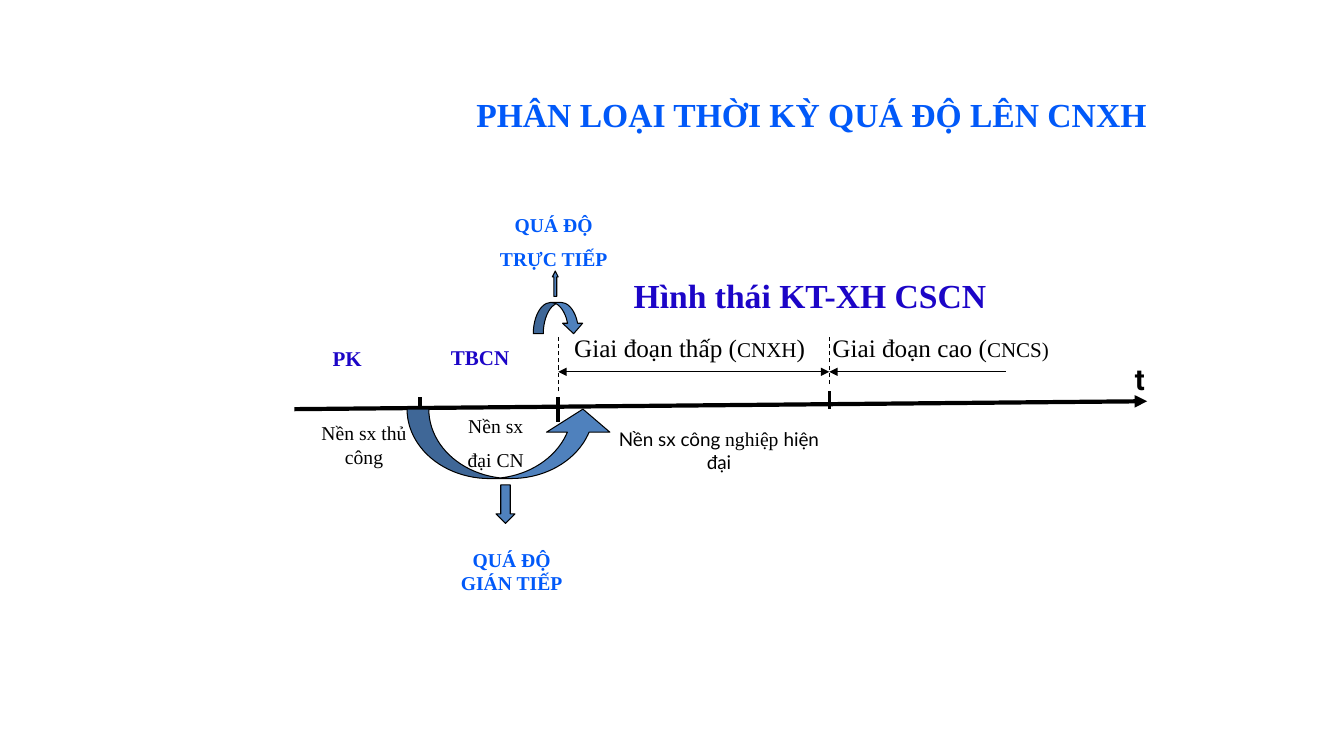
from lxml import etree
from pptx import Presentation
from pptx.dml.color import RGBColor
from pptx.enum.dml import MSO_LINE
from pptx.enum.shapes import MSO_CONNECTOR, MSO_SHAPE
from pptx.enum.text import MSO_ANCHOR, PP_ALIGN
from pptx.oxml.ns import qn
from pptx.util import Cm, Pt

BLUE = RGBColor(0x01, 0x59, 0xF9)
VIOLET = RGBColor(0x1C, 0x05, 0xC7)
BLACK = RGBColor(0x00, 0x00, 0x00)
ARROW_FILL = RGBColor(0x4F, 0x81, 0xBD)

STRAIGHT = MSO_CONNECTOR.STRAIGHT
DASH = MSO_LINE.DASH
CENTER = PP_ALIGN.CENTER
LEFT = PP_ALIGN.LEFT
TOP = MSO_ANCHOR.TOP
CURVED_DOWN = MSO_SHAPE.CURVED_DOWN_ARROW
CURVED_UP = MSO_SHAPE.CURVED_UP_ARROW
UP = MSO_SHAPE.UP_ARROW
DOWN = MSO_SHAPE.DOWN_ARROW

SERIF = "Times New Roman"
TITLE = {"name": SERIF, "size": Pt(24), "bold": True, "color": BLUE}
FORMATION = {**TITLE, "color": VIOLET}
SOCIETY = {**FORMATION, "size": Pt(15)}
TRANSITION = {**TITLE, "size": Pt(14)}
STAGE = {"name": SERIF, "size": Pt(18), "bold": False, "color": BLACK}
STAGE_SHORT = {**STAGE, "size": Pt(15)}
PRODUCTION = {**STAGE, "size": Pt(14)}
PRODUCTION_SANS = {**PRODUCTION, "name": "Lato", "size": Pt(13.5)}
TIME = {"name": "Roboto", "size": Pt(21), "bold": True, "color": BLACK}

AXIS_START, AXIS_END = (7.42, 10.31), (28.91, 10.11)
FEUDAL_END, LOW_START, HIGH_START = 10.59, 14.07, 20.9
SPAN_Y, DASH_TOP = 9.37, 8.41


def format_font(font, values):
    """Apply a dict of format values to a font."""
    for name, value in values.items():
        if name == "color":
            font.color.rgb = value
        else:
            setattr(font, name, value)


def fill_text(frame, paragraphs, alignment):
    """Write paragraphs, each a list of (text, format) runs."""
    frame.word_wrap = True
    frame.vertical_anchor = TOP
    for index, runs in enumerate(paragraphs):
        paragraph = frame.add_paragraph() if index else frame.paragraphs[0]
        paragraph.alignment = alignment
        if index:
            paragraph.space_before = Pt(7.5)
        for text, values in runs:
            run = paragraph.add_run()
            run.text = text
            format_font(run.font, values)


def add_title(slide, box, text):
    """Place and fill the title placeholder."""
    title = slide.shapes.title
    for name, value in zip(("left", "top", "width", "height"), box):
        setattr(title, name, Cm(value))
    fill_text(title.text_frame, [[(text, TITLE)]], CENTER)


def add_label(slide, box, paragraphs, alignment=CENTER):
    """Add a text box."""
    label = slide.shapes.add_textbox(*map(Cm, box))
    fill_text(label.text_frame, paragraphs, alignment)


def add_line(slide, start, end, width, dash=None, arrows=()):
    """Add a black line with optional dash and arrowheads."""
    connector = slide.shapes.add_connector(STRAIGHT, *map(Cm, (*start, *end)))
    connector.line.color.rgb = BLACK
    connector.line.width = Pt(width)
    if dash:
        connector.line.dash_style = dash
    properties = connector.line._get_or_add_ln()
    for arrow in arrows:
        etree.SubElement(properties, qn(f"a:{arrow}")).set("type", "triangle")
    etree.SubElement(connector._element.spPr, qn("a:effectLst"))


def add_arrow(slide, kind, box, adjustments):
    """Add a filled block arrow."""
    arrow = slide.shapes.add_shape(kind, *map(Cm, box))
    arrow.shadow.inherit = False
    arrow.fill.solid()
    arrow.fill.fore_color.rgb = ARROW_FILL
    arrow.line.color.rgb = BLACK
    arrow.line.width = Pt(0.75)
    for index, value in enumerate(adjustments):
        arrow.adjustments[index] = value


def add_timeline(slide):
    """Draw the time axis, its ticks and the stage spans."""
    add_line(slide, AXIS_START, AXIS_END, 3, arrows=["tailEnd"])
    for x in (FEUDAL_END, LOW_START):
        add_line(slide, (x, 10.01), (x, 10.64), 3)
    add_line(slide, (HIGH_START, 10.31), (HIGH_START, 9.86), 2.25)
    for x, bottom in ((LOW_START, 9.86), (HIGH_START, 9.68)):
        add_line(slide, (x, bottom), (x, DASH_TOP), 0.75, DASH)
    add_line(slide, (LOW_START, SPAN_Y), (HIGH_START, SPAN_Y), 0.75,
             arrows=["headEnd", "tailEnd"])
    add_line(slide, (HIGH_START, SPAN_Y), (25.35, SPAN_Y), 0.75,
             arrows=["headEnd"])


def add_arrows(slide):
    """Draw the direct and indirect transition arrows."""
    for kind, box, adjustments in (
        (CURVED_DOWN, (13.44, 7.62, 1.27, 0.79), (0.32, 0.64, 0.333)),
        (UP, (13.92, 6.83, 0.15, 0.64), (0.5, 1)),
        (CURVED_UP, (10.26, 10.31, 5.23, 1.75), (0.313, 0.913, 0.333)),
        (DOWN, (12.5, 12.22, 0.48, 0.97), (0.5, 0.5)),
    ):
        add_arrow(slide, kind, box, adjustments)


def add_labels(slide):
    """Write the labels around the timeline."""
    for box, paragraphs in (
        ((9.32, 8.56, 5.56, 0.89), [[("TBCN", SOCIETY)]]),
        ((6.45, 8.59, 4.6, 0.89), [[("PK", SOCIETY)]]),
        ((10.74, 5.23, 6.43, 1.75),
         [[("QUÁ ĐỘ", TRANSITION)], [("TRỰC TIẾP", TRANSITION)]]),
        ((11.23, 13.67, 3.33, 1.45), [[("QUÁ ĐỘ GIÁN TIẾP", TRANSITION)]]),
        ((10.74, 10.31, 3.51, 1.75),
         [[("Nền sx", PRODUCTION)], [("đại CN", PRODUCTION)]]),
        ((7.42, 10.49, 3.51, 1.45), [[("Nền sx thủ công", PRODUCTION)]]),
        ((15.34, 10.64, 5.56, 1.42),
         [[("Nền sx công ", PRODUCTION_SANS), ("nghiệp ", PRODUCTION),
           ("hiện đại", PRODUCTION_SANS)]]),
    ):
        add_label(slide, box, paragraphs)
    for box, runs in (
        ((15.72, 6.81, 11.13, 1.27), [("Hình thái KT-XH CSCN", FORMATION)]),
        ((14.22, 8.26, 6.65, 1.02),
         [("Giai đoạn thấp (", STAGE), ("CNXH", STAGE_SHORT), (")", STAGE)]),
        ((20.73, 8.26, 7, 1.02),
         [("Giai đoạn cao (", STAGE), ("CNCS)", STAGE_SHORT)]),
        ((28.35, 8.97, 0.64, 1.14), [("t", TIME)]),
    ):
        add_label(slide, box, [runs], LEFT)


def main():
    """Build and save the slide."""
    presentation = Presentation()
    presentation.slide_width = Cm(33.87)
    presentation.slide_height = Cm(19.05)
    slide = presentation.slides.add_slide(presentation.slide_layouts[5])
    add_title(slide, (9.12, 2.24, 22.66, 2.36),
              "PHÂN LOẠI THỜI KỲ QUÁ ĐỘ LÊN CNXH")
    add_timeline(slide)
    add_arrows(slide)
    add_labels(slide)
    presentation.save("out.pptx")


if __name__ == "__main__":
    main()
